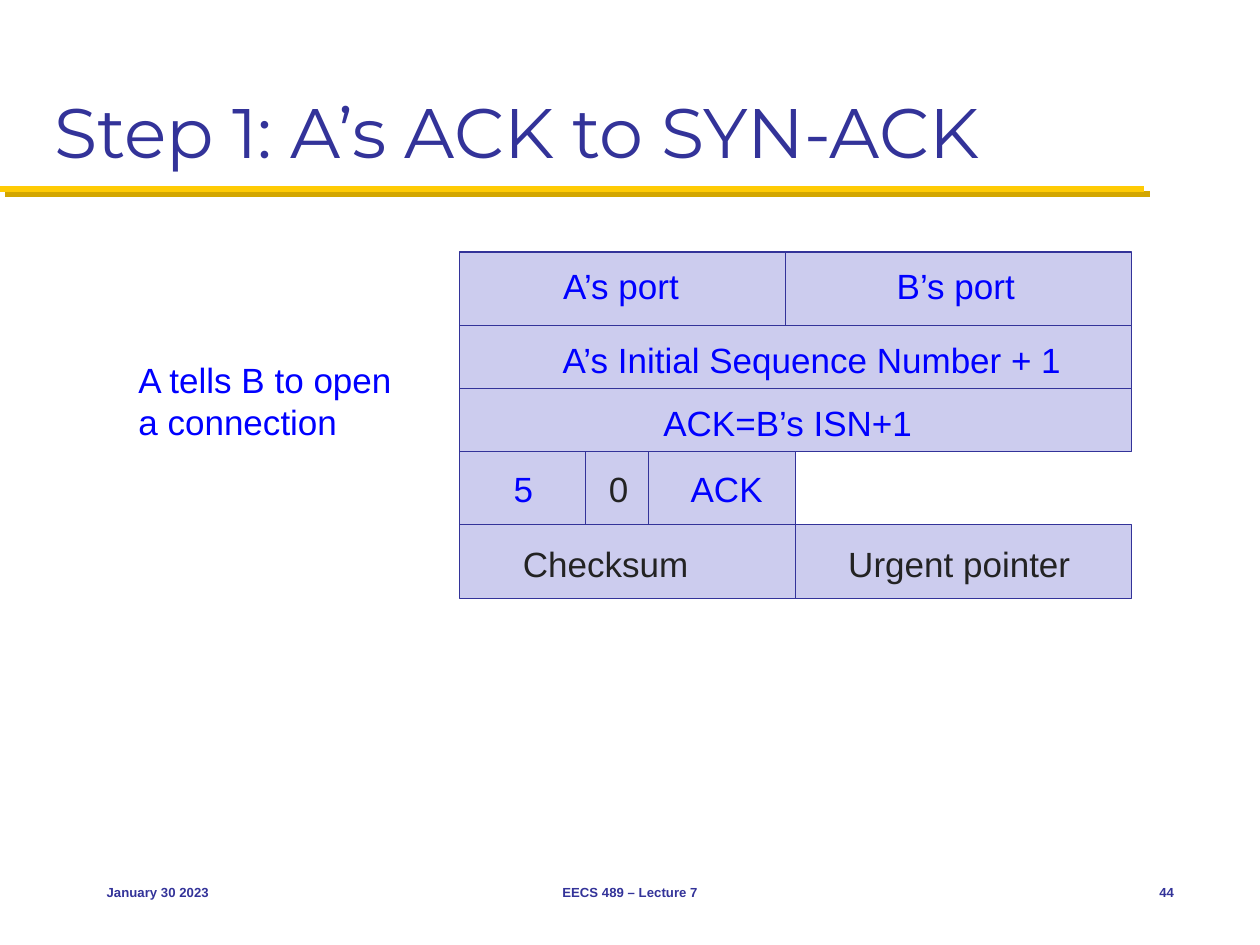
from lxml import etree
from pptx import Presentation
from pptx.dml.color import RGBColor
from pptx.enum.shapes import MSO_CONNECTOR, MSO_SHAPE
from pptx.enum.text import MSO_ANCHOR, MSO_AUTO_SIZE, PP_ALIGN
from pptx.oxml.ns import qn
from pptx.util import Cm, Pt

RECTANGLE = MSO_SHAPE.RECTANGLE
STRAIGHT = MSO_CONNECTOR.STRAIGHT
LEFT, CENTER, RIGHT = PP_ALIGN.LEFT, PP_ALIGN.CENTER, PP_ALIGN.RIGHT
TOP, MIDDLE, BOTTOM = MSO_ANCHOR.TOP, MSO_ANCHOR.MIDDLE, MSO_ANCHOR.BOTTOM
FIXED, GROW = MSO_AUTO_SIZE.NONE, MSO_AUTO_SIZE.SHAPE_TO_FIT_TEXT

COLORS = {
    "navy": "333399",
    "lavender": "CCCCEE",
    "blue": "0000FF",
    "dark": "232323",
    "gold": "FFCB05",
    "gold_shadow": "D3A600",
}

TITLE = "Step 1: A’s ACK to SYN-ACK"
EXPLANATION = "A tells B to open a connection"
FOOTERS = [
    ("January 30 2023", 1.9, 5.29, LEFT),
    ("EECS 489 – Lecture 7", 8.68, 8.04, CENTER),
    ("44", 22.23, 1.69, RIGHT),
]

HEADER_LEFT, HEADER_TOP = 9.27, 5.08
FULL, HALF = 13.54, 6.77
HEADER_ROWS = [
    {"height": 1.48, "drop": 0.13, "boxes": [6.56, 6.98], "dividers": [],
     "labels": [("A’s port", "blue", 1.75, 3), ("B’s port", "blue", 8.5, 3)]},
    {"height": 1.27, "drop": 0.13, "boxes": [FULL], "dividers": [],
     "labels": [("A’s Initial Sequence Number + 1", "blue", 1.6, 11)]},
    {"height": 1.27, "drop": 0.13, "boxes": [FULL], "dividers": [],
     "labels": [("ACK=B’s ISN+1", "blue", 3.61, 6)]},
    {"height": 1.48, "drop": 0.2, "boxes": [HALF], "dividers": [2.54, 3.81],
     "labels": [("5", "blue", 0.78, 1), ("0", "dark", 2.7, 1), ("ACK", "blue", 4.28, 2.2)]},
    {"height": 1.48, "drop": 0.23, "boxes": [HALF, HALF], "dividers": [],
     "labels": [("Checksum", "dark", 0.94, 4), ("Urgent pointer", "dark", 7.45, 5.24)]},
]
LABEL_HEIGHT = 1.1


def rgb(name):
    return RGBColor.from_string(COLORS[name])


def add_text(text, left, top, width, height, size=20, color="blue", font="Arial",
             bold=False, align=LEFT, anchor=TOP, wrap=True, fit=FIXED):
    box = slide.shapes.add_textbox(Cm(left), Cm(top), Cm(width), Cm(height))
    frame = box.text_frame
    frame.word_wrap = wrap
    frame.auto_size = fit
    frame.vertical_anchor = anchor
    paragraph = frame.paragraphs[0]
    paragraph.alignment = align
    run = paragraph.add_run()
    run.text = text
    run.font.size = Pt(size)
    run.font.name = font
    run.font.bold = bold
    run.font.color.rgb = rgb(color)


def add_line(x1, y1, x2, y2, color, weight):
    line = slide.shapes.add_connector(STRAIGHT, Cm(x1), Cm(y1), Cm(x2), Cm(y2))
    line.line.color.rgb = rgb(color)
    line.line.width = Pt(weight)
    return etree.SubElement(line._element.spPr, qn("a:effectLst"))


def add_field(left, top, width, height):
    field = slide.shapes.add_shape(RECTANGLE, Cm(left), Cm(top), Cm(width), Cm(height))
    field.shadow.inherit = False
    field.fill.solid()
    field.fill.fore_color.rgb = rgb("lavender")
    field.line.color.rgb = rgb("navy")
    field.line.width = Pt(0.75)


presentation = Presentation()
presentation.slide_width, presentation.slide_height = Cm(25.4), Cm(19.05)
slide = presentation.slides.add_slide(presentation.slide_layouts[6])

rule_effects = add_line(0, 3.81, 23.07, 3.81, "gold", 3.5)
shadow = etree.SubElement(rule_effects, qn("a:outerShdw"), dist=str(Pt(4.2)),
                          dir="2700000", algn="ctr", rotWithShape="0")
etree.SubElement(shadow, qn("a:srgbClr"), val=COLORS["gold_shadow"])

add_text(TITLE, 0.85, 0.42, 23.7, 3.18, size=40, color="navy", font="Montserrat",
         anchor=BOTTOM)

row_top = HEADER_TOP
for row in HEADER_ROWS:
    field_left = HEADER_LEFT
    for width in row["boxes"]:
        add_field(field_left, row_top, width, row["height"])
        field_left += width
    for offset in row["dividers"]:
        x = HEADER_LEFT + offset
        add_line(x, row_top, x, row_top + row["height"], "navy", 0.75)
    for label, color, offset, width in row["labels"]:
        add_text(label, HEADER_LEFT + offset, row_top + row["drop"], width, LABEL_HEIGHT,
                 color=color, align=CENTER, wrap=False, fit=GROW)
    row_top += row["height"]

add_text(EXPLANATION, 2.54, 7.1, 5.93, 1.96, fit=GROW)

for text, left, width, align in FOOTERS:
    add_text(text, left, 17.36, width, 1.27, size=7.5, color="navy", bold=True,
             align=align, anchor=MIDDLE)

presentation.save("out.pptx")
